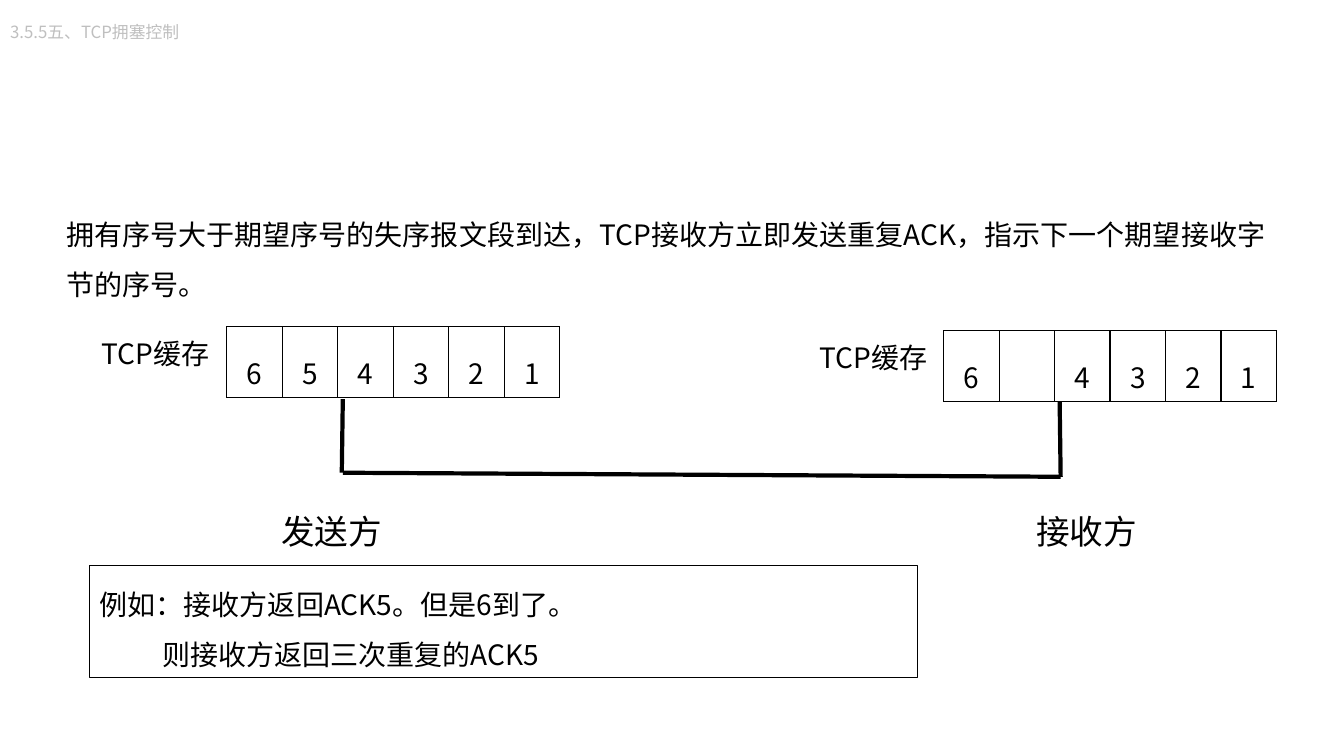
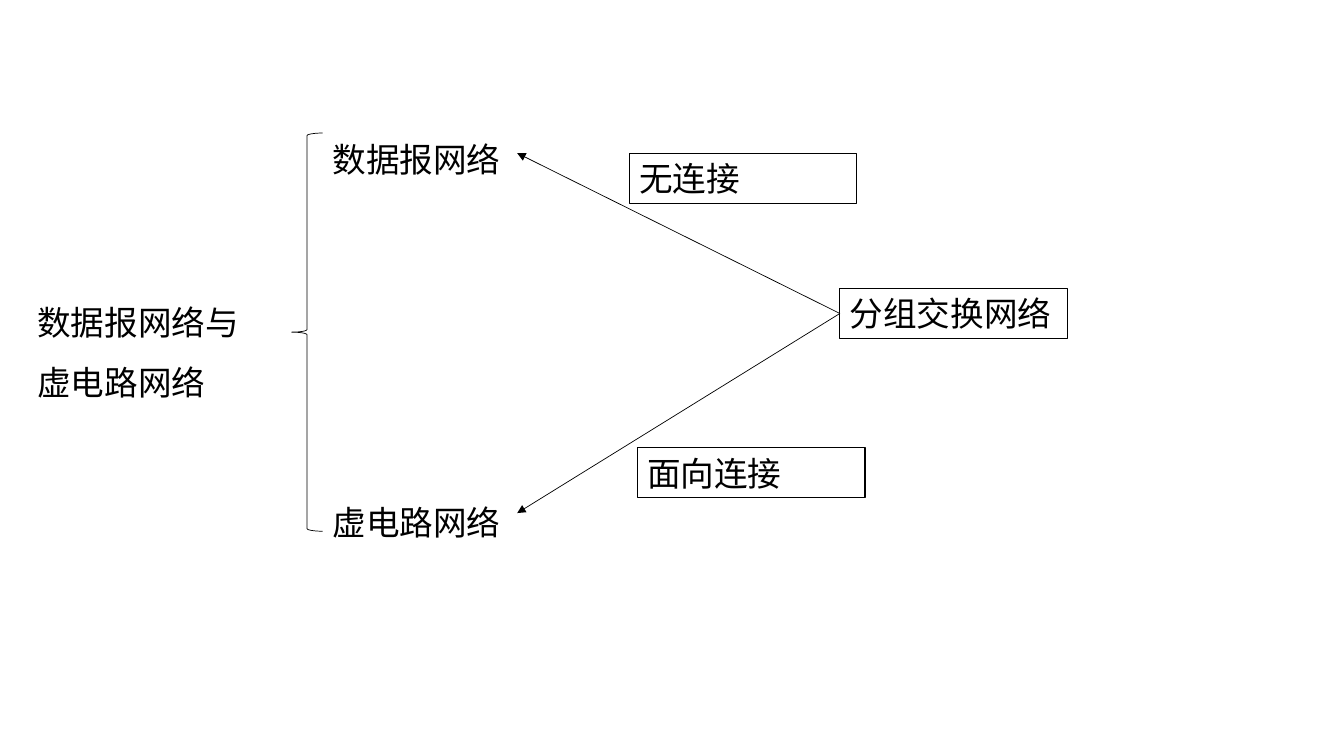
"""Build two slides on TCP duplicate ACKs and packet-switched networks."""
from lxml import etree
from pptx import Presentation
from pptx import util as u
from pptx.dml.color import RGBColor
from pptx.enum import shapes, text
from pptx.oxml.ns import qn

HUES = {"ink": "000000", "pale": "BFBFBF"}
NOTO = "Noto Sans CJK SC"
ARIAL = "Arial"
INK = RGBColor.from_string(HUES["ink"])


def write(frame, words, size, font, space=1.0, hue="ink", side=text.PP_ALIGN.LEFT):
    """Fill a text frame and format every run."""
    frame.text = words
    frame.word_wrap = True
    frame.auto_size = text.MSO_AUTO_SIZE.NONE
    frame.vertical_anchor = text.MSO_ANCHOR.TOP
    for para in frame.paragraphs:
        para.alignment = side
        para.line_spacing = space
        for run in para.runs:
            run.font.size = u.Pt(size)
            run.font.name = font
            run.font.color.rgb = RGBColor.from_string(HUES[hue])
            etree.SubElement(run.font._element, qn("a:ea"), typeface=NOTO)


def draw(slide, start, end, width, arrow=False):
    """Draw a straight line, with an arrowhead at its end if asked."""
    ends = [u.Inches(n) for n in (*start, *end)]
    line = slide.shapes.add_connector(shapes.MSO_CONNECTOR.STRAIGHT, *ends)
    line.line.color.rgb = INK
    line.line.width = u.Pt(width)
    if arrow:
        etree.SubElement(line.line._get_or_add_ln(), qn("a:tailEnd"), type="triangle")
    etree.SubElement(line._element.spPr, qn("a:effectLst"))


deck = Presentation()
deck.slide_width = u.Inches(13.33)
deck.slide_height = u.Inches(7.5)
ack, nets = [deck.slides.add_slide(deck.slide_layouts[5]) for _ in range(2)]

for slide, words, spot, size, font, space, hue in (
    (ack, "3.5.5五、TCP拥塞控制", (0, 0.17, 1.91, 0.5), 12, NOTO, 1.0, "pale"),
    (nets, "数据报网络与\n虚电路网络", (0.27, 2.74, 2.92, 1.24), 24, ARIAL, 1.5, "ink"),
):
    title = slide.shapes.title
    title.left, title.top, title.width, title.height = [u.Inches(n) for n in spot]
    write(title.text_frame, words, size, font, space, hue)

for slide, words, spot, size, font, space in (
    (ack, "拥有序号大于期望序号的失序报文段到达，TCP接收方立即发送重复ACK，指示下一个期望接收字节的序号。",
     (0.56, 1.94, 12.14, 1.05), 20, NOTO, 1.5),
    (ack, "发送方", (2.69, 5.02, 1.38, 0.5), 24, NOTO, 1.0),
    (ack, "接收方", (10.18, 5.02, 1.38, 0.5), 24, NOTO, 1.0),
    (ack, "TCP缓存", (0.91, 3.29, 1.33, 0.44), 20, NOTO, 1.0),
    (ack, "TCP缓存", (8.03, 3.33, 1.33, 0.44), 20, NOTO, 1.0),
    (nets, "数据报网络", (3.2, 1.13, 3.85, 0.7), 24, ARIAL, 1.5),
    (nets, "虚电路网络", (3.2, 4.73, 3.85, 0.7), 24, ARIAL, 1.5),
):
    box = slide.shapes.add_textbox(*[u.Inches(n) for n in spot])
    write(box.text_frame, words, size, font, space)

for left, top, marks in ((2.25, 3.24, "654321"), (9.36, 3.28, "6 4321")):
    table = ack.shapes.add_table(
        1, len(marks), u.Inches(left), u.Inches(top), u.Inches(3.3), u.Inches(0.46)
    ).table
    table.first_row = table.horz_banding = False
    for col, mark in enumerate(marks):
        table.columns[col].width = u.Inches(0.55)
        cell = table.cell(0, col)
        props = cell._tc.get_or_add_tcPr()
        for edge in ("a:lnL", "a:lnR", "a:lnT", "a:lnB"):
            rule = etree.SubElement(props, qn(edge), w=str(u.Pt(1)))
            fill = etree.SubElement(rule, qn("a:solidFill"))
            etree.SubElement(fill, qn("a:srgbClr"), val=HUES["ink"])
        cell.fill.background()
        if mark != " ":
            write(cell.text_frame, mark, 20, NOTO, 1.5, side=text.PP_ALIGN.CENTER)

for start, end in (
    ((3.4, 3.96), (3.39, 4.69)),
    ((10.52, 4.73), (10.51, 3.99)),
    ((3.4, 4.69), (10.52, 4.73)),
):
    draw(ack, start, end, 3)

for end in ((5.13, 1.52), (5.13, 5.09)):
    draw(nets, (8.33, 3.11), end, 0.5, arrow=True)

RECT = shapes.MSO_SHAPE.RECTANGLE
BRACE = shapes.MSO_SHAPE.LEFT_BRACE
for slide, kind, words, spot, width, size, font, space in (
    (ack, RECT, "例如：接收方返回ACK5。但是6到了。\n则接收方返回三次重复的ACK5",
     (0.89, 5.61, 8.21, 1.11), 0.75, 20, NOTO, 1.5),
    (nets, BRACE, "", (2.89, 1.32, 0.31, 3.95), 0.5, 24, ARIAL, 1.0),
    (nets, RECT, "分组交换网络", (8.33, 2.86, 2.26, 0.5), 0.75, 24, ARIAL, 1.0),
    (nets, RECT, "无连接", (6.24, 1.52, 2.26, 0.5), 0.75, 24, ARIAL, 1.0),
    (nets, RECT, "面向连接", (6.32, 4.44, 2.26, 0.5), 0.75, 24, ARIAL, 1.0),
):
    shape = slide.shapes.add_shape(kind, *[u.Inches(n) for n in spot])
    shape.shadow.inherit = False
    shape.fill.background()
    shape.line.color.rgb = INK
    shape.line.width = u.Pt(width)
    if words:
        write(shape.text_frame, words, size, font, space)
    for para in shape.text_frame.paragraphs[1:]:
        para._p.get_or_add_pPr().set("marL", str(u.Inches(0.62)))

deck.save("out.pptx")
